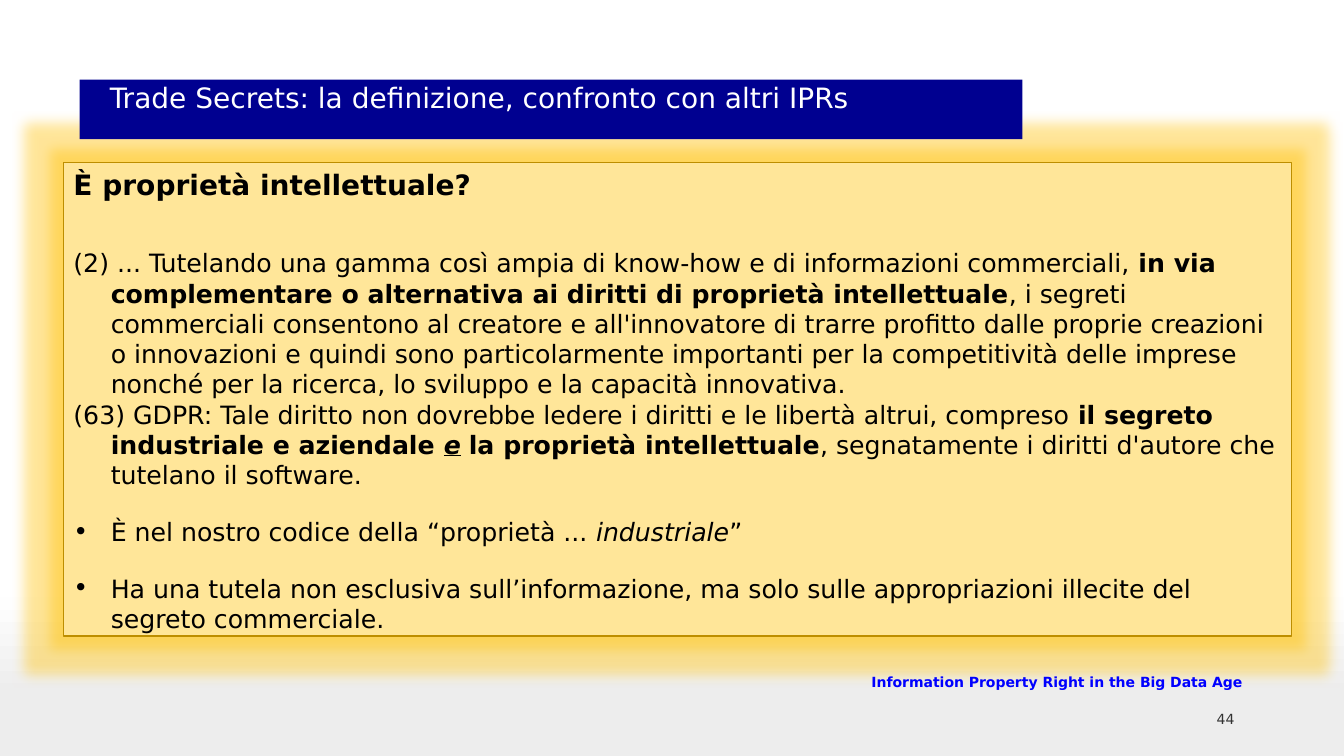
from lxml.etree import SubElement
from pptx import Presentation
from pptx.dml.color import RGBColor
from pptx.enum.shapes import MSO_SHAPE as Shape
from pptx.enum.text import MSO_ANCHOR as Anchor, PP_ALIGN as Align
from pptx.oxml import parse_xml
from pptx.oxml.ns import nsdecls, qn
from pptx.util import Inches, Pt

WIDTH, HEIGHT = Inches(13.33), Inches(7.5)
FONT = "DejaVu Sans"
BLACK = RGBColor(0x00, 0x00, 0x00)
WHITE = RGBColor(0xFF, 0xFF, 0xFF)
GREY = RGBColor(0x33, 0x33, 0x33)
BLUE = RGBColor(0x00, 0x00, 0xFF)
NAVY = RGBColor(0x00, 0x00, 0x90)
CREAM = RGBColor(0xFF, 0xE6, 0x99)
GOLD = RGBColor(0xBD, 0x8E, 0x00)
AMBER = RGBColor(0xFF, 0xC0, 0x00)
BACKDROP = [(0, WHITE), (79, RGBColor(0xFE, 0xFE, 0xFE)), (92, RGBColor(0xED, 0xED, 0xED))]

PLACES = {
    "number": (71.72, 93.33, 20.86, 4.4),
    "body": (4.73, 21.47, 91.37, 62.67),
    "title": (5.93, 10.53, 70.14, 7.87),
    "footer": (59.26, 87.73, 33.91, 5.07),
}
TITLE = "Trade Secrets: la definizione, confronto con altri IPRs"
FOOTER = "Information Property Right in the Big Data Age"
NUMBER = "44"
BODY = [
    {"spans": [("È proprietà intellettuale?", "b")], "size": 20},
    {"before": 33.5, "spans": [
        ("(2) ... Tutelando una gamma così ampia di know-how e di informazioni commerciali, ", ""),
        ("in via complementare o alternativa ai diritti di proprietà intellettuale", "b"),
        (", i segreti commerciali consentono al creatore e all'innovatore di trarre profitto "
         "dalle proprie creazioni o innovazioni e quindi sono particolarmente importanti per la "
         "competitività delle imprese nonché per la ricerca, lo sviluppo e la capacità "
         "innovativa.", "")]},
    {"spans": [
        ("(63) GDPR: Tale diritto non dovrebbe ledere i diritti e le libertà altrui, compreso ", ""),
        ("il segreto industriale e aziendale ", "b"), ("e", "biu"), (" ", ""),
        ("la proprietà intellettuale", "b"),
        (", segnatamente i diritti d'autore che tutelano il software.", "")]},
    {"before": 19, "bullet": "•", "spans": [
        ("È nel nostro codice della “proprietà ... ", ""), ("industriale", "i"), ("”", "")]},
    {"before": 19, "bullet": "•", "spans": [
        ("Ha una tutela non esclusiva sull’informazione, ma solo sulle appropriazioni illecite "
         "del segreto commerciale.", "")]},
]


def place(name):
    """Turn the percentages of a named place into lengths."""
    left, top, width, height = PLACES[name]
    return [int(share * side / 100) for share, side in
            ((left, WIDTH), (top, HEIGHT), (width, WIDTH), (height, HEIGHT))]


def paint_backdrop(page):
    """Give the page its vertical gradient."""
    stops = "".join(f'<a:gs pos="{pos * 1000}"><a:srgbClr val="{color}"/></a:gs>'
                    for pos, color in BACKDROP)
    page.element.cSld.insert(0, parse_xml(
        f'<p:bg {nsdecls("p", "a")}><p:bgPr><a:gradFill rotWithShape="1"><a:gsLst>{stops}'
        '</a:gsLst><a:lin ang="5400000" scaled="0"/></a:gradFill><a:effectLst/></p:bgPr></p:bg>'))


def add_panel(page, name, fill, line=None):
    """Add a filled rectangle without shadow."""
    panel = page.shapes.add_shape(Shape.RECTANGLE, *place(name))
    panel.shadow.inherit = False
    panel.fill.solid()
    panel.fill.fore_color.rgb = fill
    if line is None:
        panel.line.fill.background()
    else:
        panel.line.color.rgb = line
        panel.line.width = Pt(1)
    return panel


def add_glow(panel, color, radius):
    """Surround a panel with a soft glow."""
    effects = panel.element.spPr.find(qn("a:effectLst"))
    glow = SubElement(effects, qn("a:glow"), rad=str(radius))
    tint = SubElement(glow, qn("a:srgbClr"), val=str(color))
    SubElement(tint, qn("a:alpha"), val="40000")


def write(box, paras, color=BLACK, size=18, align=Align.LEFT, anchor=Anchor.TOP,
          indent=0, hanging=0, spacing=None):
    """Write formatted paragraphs into a box."""
    frame = box.text_frame
    frame.word_wrap = True
    frame.vertical_anchor = anchor
    for index, content in enumerate(paras):
        para = frame.add_paragraph() if index else frame.paragraphs[0]
        para.alignment = align
        para.space_before = Pt(content.get("before", 0))
        if spacing:
            para.line_spacing = spacing
        layout = para._p.get_or_add_pPr()
        layout.set("marL", str(Inches(indent)))
        layout.set("indent", str(Inches(-hanging)))
        if "bullet" in content:
            SubElement(layout, qn("a:buFont"), typeface=FONT)
            SubElement(layout, qn("a:buChar"), char=content["bullet"])
        else:
            SubElement(layout, qn("a:buNone"))
        for text, style in content["spans"]:
            span = para.add_run()
            span.text = text
            font = span.font
            font.name, font.size = FONT, Pt(content.get("size", size))
            font.color.rgb = color
            font.bold, font.italic, font.underline = (mark in style for mark in "biu")


def main():
    """Build and save the slide."""
    deck = Presentation()
    deck.slide_width, deck.slide_height = WIDTH, HEIGHT
    page = deck.slides.add_slide(deck.slide_layouts[6])
    paint_backdrop(page)
    write(page.shapes.add_textbox(*place("number")), [{"spans": [(NUMBER, "")]}],
          color=GREY, size=10, align=Align.RIGHT)
    body = add_panel(page, "body", CREAM, GOLD)
    add_glow(body, AMBER, Pt(18))
    write(body, BODY, indent=0.37, hanging=0.37)
    write(add_panel(page, "title", NAVY), [{"spans": [(TITLE, "")]}],
          color=WHITE, size=20, indent=0.2, spacing=0.9)
    write(page.shapes.add_textbox(*place("footer")), [{"spans": [(FOOTER, "b")]}],
          color=BLUE, size=10, align=Align.RIGHT, anchor=Anchor.MIDDLE)
    deck.save("out.pptx")


if __name__ == "__main__":
    main()
